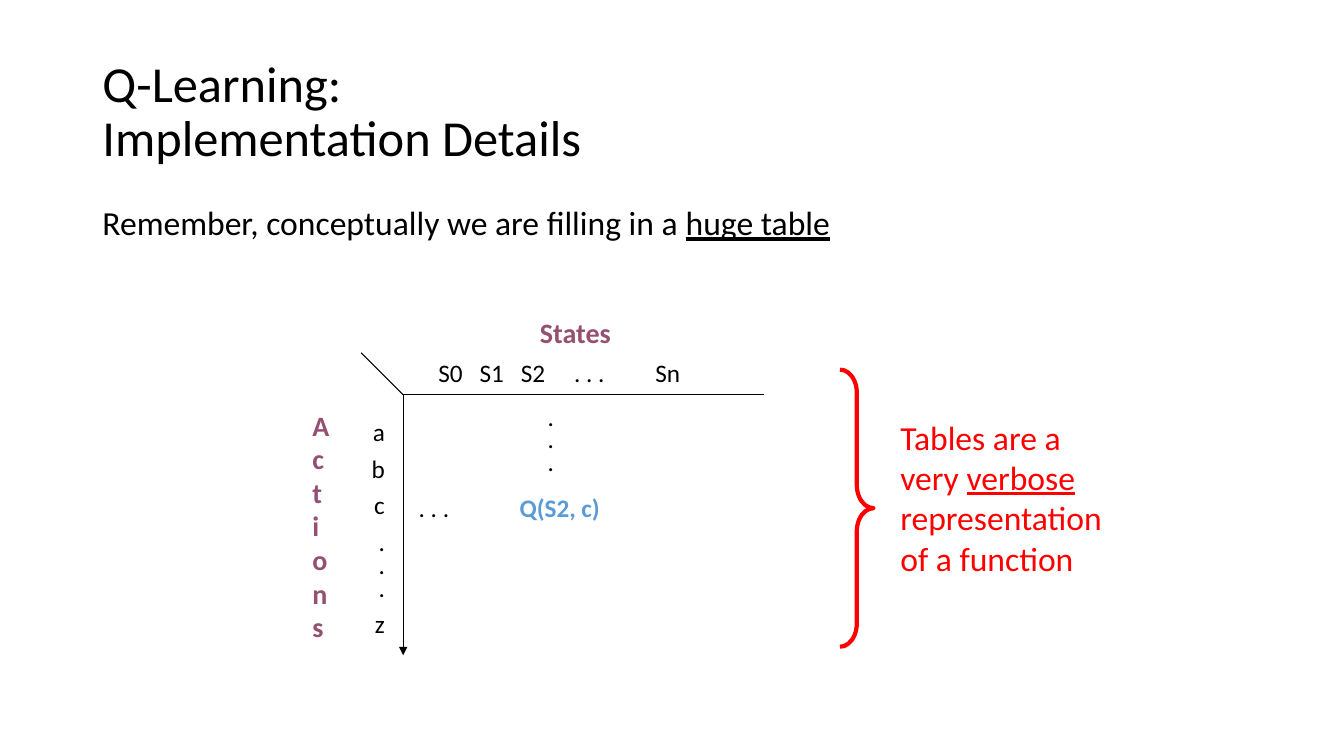
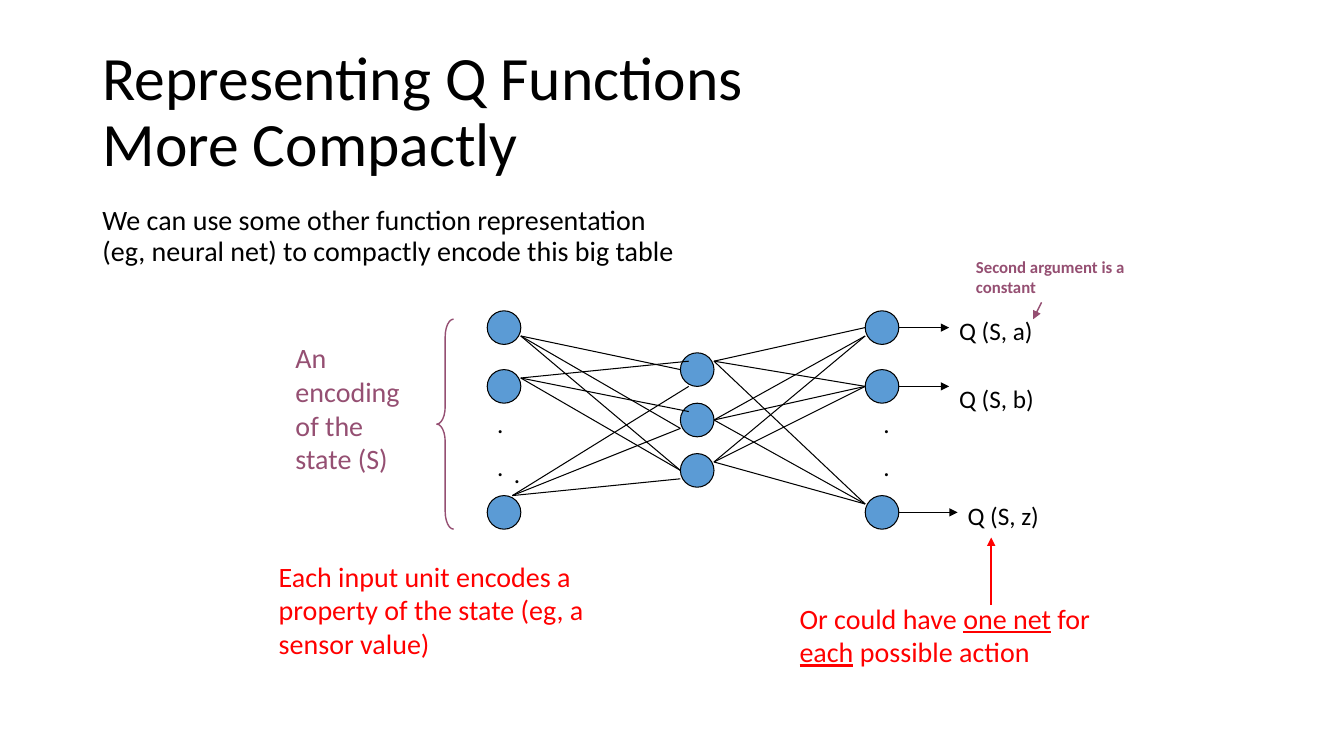
from dataclasses import dataclass

from lxml.etree import SubElement
from pptx import Presentation
from pptx.dml.color import RGBColor
from pptx.enum.shapes import MSO_CONNECTOR as Connector, MSO_SHAPE as Shape
from pptx.enum.text import MSO_ANCHOR as Anchor, MSO_AUTO_SIZE as AutoSize, PP_ALIGN as Align
from pptx.oxml.ns import qn
from pptx.util import Pt


@dataclass(frozen=True)
class Theme:
    font: str = "Calibri"
    black: RGBColor = RGBColor(0x00, 0x00, 0x00)
    red: RGBColor = RGBColor(0xFF, 0x00, 0x00)
    purple: RGBColor = RGBColor(0x95, 0x4F, 0x72)
    blue: RGBColor = RGBColor(0x5B, 0x9B, 0xD5)
    title: int = 44
    title_small: int = 36
    lead: int = 24
    note: int = 20
    label: int = 18
    hint: int = 12
    thin: float = 0.75
    medium: float = 1
    thick: float = 3


THEME = Theme()
NODE_SIZE = 24


# Text
def style(para, size, color, bold=False):
    font = para.font
    font.name, font.size, font.bold = THEME.font, Pt(size), bold
    font.color.rgb = color


def write(para, spans):
    """Add text pieces; a (text, True) pair is underlined, a newline breaks the line."""
    for piece in spans:
        text, underlined = piece if isinstance(piece, tuple) else (piece, False)
        for number, line in enumerate(text.split("\n")):
            if number:
                para.add_line_break()
            span = para.add_run()
            span.text = line
            if underlined:
                span.font.underline = True


def set_tabs(para, stops):
    tab_list = SubElement(para._p.get_or_add_pPr(), qn("a:tabLst"))
    for stop in stops:
        SubElement(tab_list, qn("a:tab"), pos=str(Pt(stop)), algn="l")


def add_text(shapes, area, paragraphs, size, color=THEME.black, bold=False,
             align=Align.LEFT, gap=0, tight=(), tabs=()):
    """Add a text box; paragraphs numbered in tight get close lines and no gap."""
    box = shapes.add_textbox(*map(Pt, area))
    frame = box.text_frame
    frame.word_wrap = True
    for number, spans in enumerate(paragraphs):
        para = frame.add_paragraph() if number else frame.paragraphs[0]
        if tabs:
            set_tabs(para, tabs)
        para.alignment = align
        if number in tight:
            para.line_spacing = 0.75
        elif number:
            para.space_before = Pt(gap)
        style(para, size, color, bold)
        write(para, spans)
    return box


def fill_placeholder(holder, spans, size):
    para = holder.text_frame.paragraphs[0]
    properties = para._p.get_or_add_pPr()
    properties.set("marL", "0")
    properties.set("indent", "0")
    SubElement(properties, qn("a:buNone"))
    para.alignment = Align.LEFT
    para.line_spacing = 0.9
    para.space_before = Pt(0)
    style(para, size, THEME.black)
    write(para, spans)
    holder.text_frame.auto_size = AutoSize.NONE


# Lines and shapes
def add_line(shapes, start, end, color=THEME.black, width=THEME.thin, arrow=False):
    line = shapes.add_connector(Connector.STRAIGHT, *map(Pt, (*start, *end)))
    line.line.color.rgb = color
    line.line.width = Pt(width)
    if arrow:
        SubElement(line.line._get_or_add_ln(), qn("a:tailEnd"), type="triangle")
    SubElement(line._element.spPr, qn("a:effectLst"))


def add_shape(shapes, kind, area, line_color, width, fill=None):
    shape = shapes.add_shape(kind, *map(Pt, area))
    shape.shadow.inherit = False
    if fill is None:
        shape.fill.background()
    else:
        shape.fill.solid()
        shape.fill.fore_color.rgb = fill
    shape.line.color.rgb = line_color
    shape.line.width = Pt(width)
    return shape


def add_brace(shapes, kind, area, color, width, curl):
    brace = add_shape(shapes, kind, area, color, width)
    brace.adjustments[0] = curl
    brace.adjustments[1] = 0.5


# Pages
def prepare_layout(deck):
    layout = deck.slide_layouts[1]
    areas = ((66, 28.8, 828, 104.4), (66, 144, 828, 342.72))
    for holder, area in zip(layout.placeholders, areas):
        holder.left, holder.top, holder.width, holder.height = map(Pt, area)
    layout.placeholders[0].text_frame.vertical_anchor = Anchor.MIDDLE
    return layout


def add_page(deck, layout, title, title_size, lead, lead_size):
    page = deck.slides.add_slide(layout)
    fill_placeholder(page.shapes.title, [title], title_size)
    fill_placeholder(page.placeholders[1], lead, lead_size)
    return page


def build_table_page(deck, layout):
    page = add_page(deck, layout, "Q-Learning:\nImplementation Details", THEME.title_small,
                    ["Remember, conceptually we are filling in a ", ("huge table", True)],
                    THEME.lead)
    shapes = page.shapes

    # Table axes
    corner = (288, 282)
    add_line(shapes, corner, (546, 282))
    add_line(shapes, corner, (288, 468), arrow=True)
    add_line(shapes, corner, (258, 252))

    # Headings and cells
    add_text(shapes, (306, 252, 246, 29), [["S0\tS1\tS2\t. . .\tSn"]], THEME.label,
             tabs=(29.5, 59, 97, 155))
    add_text(shapes, (240, 294, 42, 169), ["a", "b", "c", ".", ".", ".", "z"], THEME.label,
             align=Align.RIGHT, gap=4.5, tight=(4, 5))
    cells = add_text(shapes, (292, 348, 170, 29), [[". . .\t"]], THEME.label, tabs=(72,))
    value = cells.text_frame.paragraphs[0].add_run()
    value.text = "Q(S2, c)"
    value.font.bold = True
    value.font.color.rgb = THEME.blue
    add_text(shapes, (384, 288, 24, 57), [".", ".", "."], THEME.label, tight=(0, 1, 2))
    add_text(shapes, (324, 222, 174, 31), [["States"]], THEME.note, THEME.purple, True,
             Align.CENTER)
    add_text(shapes, (216, 288, 24, 177), [["Actions"]], THEME.note, THEME.purple, True)

    # Remark
    add_brace(shapes, Shape.RIGHT_BRACE, (600, 264, 24, 198), THEME.red, THEME.thick, 0.69)
    add_text(shapes, (636, 294, 168, 124),
             [["Tables are a very ", ("verbose", True), " representation of a function"]],
             THEME.lead, THEME.red)


def add_network(shapes):
    # Units, by layer
    outer_tops, hidden_tops = (222, 264, 354), (252, 288, 324)
    for left, tops in ((348, outer_tops), (486, hidden_tops), (618, outer_tops)):
        for top in tops:
            add_shape(shapes, Shape.OVAL, (left, top, NODE_SIZE, NODE_SIZE),
                      THEME.black, THEME.thin, THEME.blue)

    # Dots for the units left out
    for area, count in (((348, 288, 20, 61), 2), ((360, 324, 14.4, 29), 1),
                        ((624, 288, 24, 61), 2)):
        add_text(shapes, area, ["."] * count, THEME.label, gap=9)

    # Weights, as fans from each unit
    fans = (
        ((372, 240), ((486, 264), (486, 306), (486, 336))),
        ((372, 270), ((492, 258), (492, 294), (486, 336))),
        ((366, 354), ((492, 276), (486, 306), (486, 342))),
        ((510, 258), ((618, 234), (618, 276), (618, 360))),
        ((510, 300), ((618, 240), (618, 276), (618, 360))),
        ((510, 330), ((618, 240), (618, 276), (618, 360))),
    )
    for start, ends in fans:
        for end in ends:
            add_line(shapes, start, end)

    # Outputs
    for action, left, middle, top in (("a", 678, 234, 222), ("b", 678, 276, 270),
                                      ("z", 684, 366, 354)):
        add_line(shapes, (642, middle), (left, middle), arrow=True)
        add_text(shapes, (left, top, 120, 29), [[f"Q (S, {action})"]], THEME.label)


def build_network_page(deck, layout):
    page = add_page(deck, layout, "Representing Q Functions\nMore Compactly", THEME.title,
                    ["We can use some other function representation\n"
                     "(eg, neural net) to compactly encode this big table"], THEME.note)
    shapes = page.shapes
    add_network(shapes.add_group_shape().shapes)

    # Input remarks
    add_brace(shapes, Shape.LEFT_BRACE, (312, 228, 12, 150), THEME.purple, THEME.medium, 1.04)
    add_text(shapes, (204, 240, 102, 103), [["An encoding of the state (S)"]],
             THEME.note, THEME.purple)
    add_text(shapes, (192, 396, 234, 79),
             [["Each input unit encodes a property of the state (eg, a sensor value)"]],
             THEME.note, THEME.red)

    # Output remarks
    add_line(shapes, (744, 216), (738, 228), THEME.purple, THEME.medium, arrow=True)
    add_text(shapes, (690, 180, 138, 36), [["Second argument is a constant"]],
             THEME.hint, THEME.purple, True)
    add_text(shapes, (564, 426, 234, 55),
             [["Or could have ", ("one net", True), " for ", ("each", True),
               " possible action"]], THEME.note, THEME.red)
    add_line(shapes, (708, 432), (708, 384), THEME.red, THEME.medium, arrow=True)


def main():
    deck = Presentation()
    deck.slide_width, deck.slide_height = Pt(960), Pt(540)
    layout = prepare_layout(deck)
    build_table_page(deck, layout)
    build_network_page(deck, layout)
    deck.save("out.pptx")


if __name__ == "__main__":
    main()
